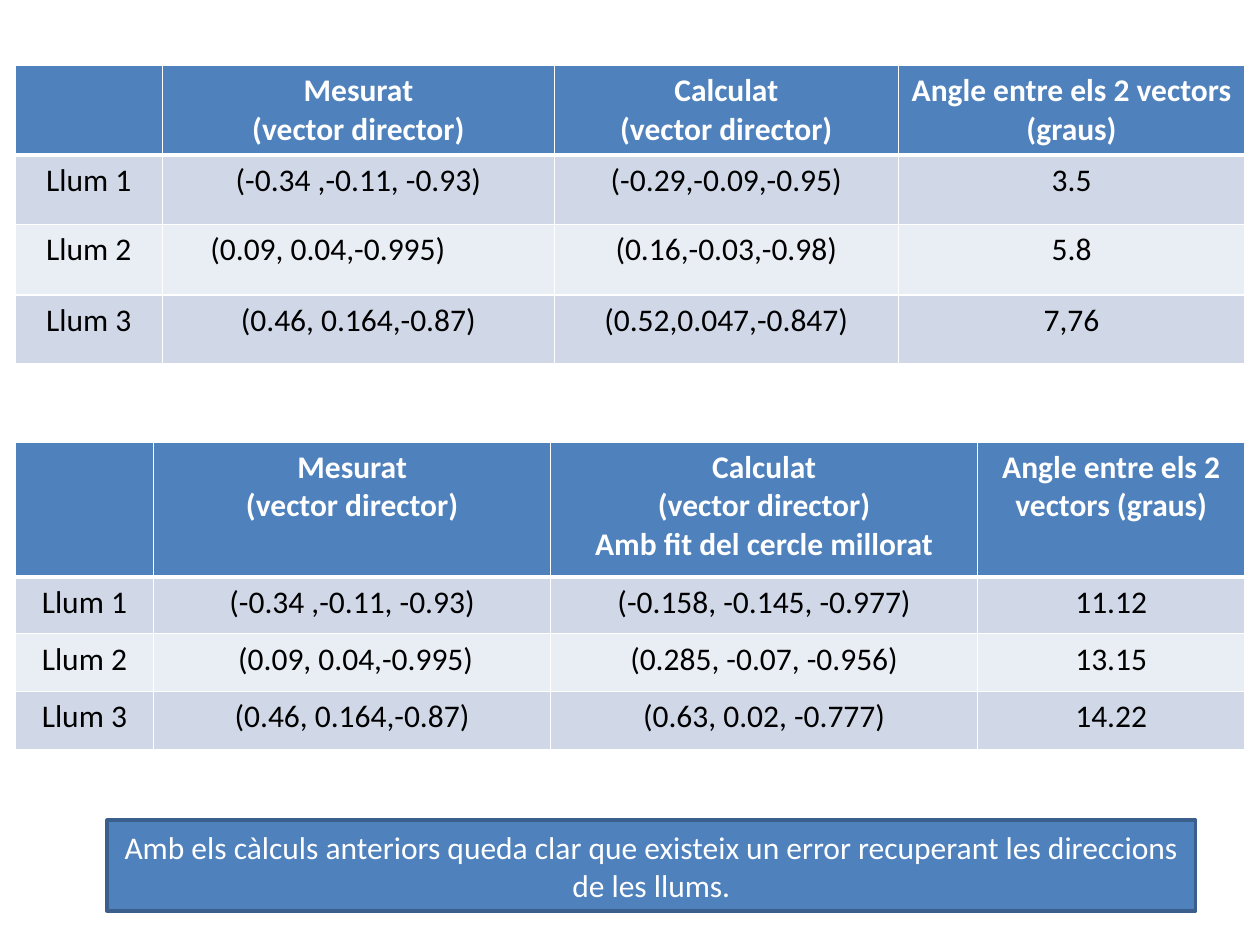
from dataclasses import dataclass

import pptx
import pptx.dml.color
import pptx.enum.shapes
import pptx.enum.text
import pptx.oxml
import pptx.oxml.ns
import pptx.util
from pptx.dml.color import RGBColor

BLUE = RGBColor(0x4F, 0x81, 0xBD)
DARK_BLUE = RGBColor(0x3A, 0x5F, 0x8C)
BAND_DARK = RGBColor(0xD0, 0xD8, 0xE8)
BAND_LIGHT = RGBColor(0xE9, 0xED, 0xF4)
WHITE = RGBColor(0xFF, 0xFF, 0xFF)
BLACK = RGBColor(0x00, 0x00, 0x00)

FONT = "Calibri"
WIDTH, HEIGHT = pptx.util.Inches(10), pptx.util.Inches(7.5)
TABLE_LEFT = pptx.util.Inches(0.12)
CENTER = pptx.enum.text.PP_ALIGN.CENTER
LEFT = pptx.enum.text.PP_ALIGN.LEFT

MEASURED = "Mesurat\n(vector director)"
CALCULATED = "Calculat\n(vector director)"
ANGLE = "Angle entre els 2 vectors (graus)"


@dataclass
class Comparison:
    """A table of measured and calculated light directions, in inches."""
    top: float
    columns: list[float]
    rows: list[float]
    calculated_heading: str
    lights: list[tuple[str, str, str]]


COMPARISONS = [
    Comparison(0.52, [1.17, 3.11, 2.73, 2.75], [0.7, 0.55, 0.56, 0.55], CALCULATED, [
        ("(-0.34 ,-0.11, -0.93)", "(-0.29,-0.09,-0.95)", "3.5"),
        ("(0.09, 0.04,-0.995)", "(0.16,-0.03,-0.98)", "5.8"),
        ("(0.46, 0.164,-0.87)", "(0.52,0.047,-0.847)", "7,76"),
    ]),
    Comparison(3.51, [1.1, 3.15, 3.39, 2.12], [1.07, 0.45, 0.46, 0.46],
               CALCULATED + "\nAmb fit del cercle millorat", [
        ("(-0.34 ,-0.11, -0.93)", "(-0.158, -0.145, -0.977)", "11.12"),
        (" (0.09, 0.04,-0.995)", "(0.285, -0.07, -0.956)", "13.15"),
        ("(0.46, 0.164,-0.87)", "(0.63, 0.02, -0.777)", "14.22"),
    ]),
]


def write(frame, text: str, color: RGBColor, bold: bool = False) -> None:
    """Write centred text, one paragraph a line."""
    for number, line in enumerate(text.split("\n")):
        para = frame.paragraphs[0] if number == 0 else frame.add_paragraph()
        para.alignment = CENTER
        if line:
            span = para.add_run()
            span.text = line
            span.font.name = FONT
            span.font.size = pptx.util.Pt(18)
            span.font.bold = bold
            span.font.color.rgb = color


def set_borders(cell, top: float, bottom: float) -> None:
    """Draw white cell borders; the sides are 1 pt wide."""
    properties = cell._tc.get_or_add_tcPr()
    widths = {"lnL": 1, "lnR": 1, "lnT": top, "lnB": bottom}
    for position, (tag, width) in enumerate(widths.items()):
        properties.insert(position, pptx.oxml.parse_xml(
            f'<a:{tag} {pptx.oxml.ns.nsdecls("a")} w="{pptx.util.Pt(width)}">'
            f'<a:solidFill><a:srgbClr val="{WHITE}"/></a:solidFill></a:{tag}>'))


def add_comparison(page, comparison: Comparison):
    """Add a table with a heading row and banded rows of lights."""
    content = [("", MEASURED, comparison.calculated_heading, ANGLE)]
    content += [(f"Llum {number}", *values)
                for number, values in enumerate(comparison.lights, 1)]
    table = page.shapes.add_table(
        len(content), len(content[0]), TABLE_LEFT, pptx.util.Inches(comparison.top),
        pptx.util.Inches(sum(comparison.columns)),
        pptx.util.Inches(sum(comparison.rows))).table
    for column, width in zip(table.columns, comparison.columns):
        column.width = pptx.util.Inches(width)
    for row, height in zip(table.rows, comparison.rows):
        row.height = pptx.util.Inches(height)

    for r, texts in enumerate(content):
        heading = r == 0
        fill = BLUE if heading else BAND_DARK if r % 2 else BAND_LIGHT
        for c, text in enumerate(texts):
            cell = table.cell(r, c)
            cell.fill.solid()
            cell.fill.fore_color.rgb = fill
            set_borders(cell, top=3 if r == 1 else 1, bottom=3 if heading else 1)
            write(cell.text_frame, text, WHITE if heading else BLACK, bold=heading)
    return table


def add_conclusion(page, text: str) -> None:
    """Add the blue box at the foot of the slide."""
    box = page.shapes.add_shape(
        pptx.enum.shapes.MSO_SHAPE.RECTANGLE, int(WIDTH * 0.085), int(HEIGHT * 0.868),
        int(WIDTH * 0.864), int(HEIGHT * 0.096))
    box.shadow.inherit = False
    box.fill.solid()
    box.fill.fore_color.rgb = BLUE
    box.line.color.rgb = DARK_BLUE
    box.line.width = pptx.util.Pt(2)
    box.text_frame.word_wrap = True
    box.text_frame.vertical_anchor = pptx.enum.text.MSO_ANCHOR.MIDDLE
    write(box.text_frame, text, WHITE)


def main() -> None:
    deck = pptx.Presentation()
    deck.slide_width, deck.slide_height = WIDTH, HEIGHT
    page = deck.slides.add_slide(deck.slide_layouts[6])

    # Tables
    first, _ = [add_comparison(page, comparison) for comparison in COMPARISONS]

    # The second measured vector of the first table is indented from the left
    indented = first.cell(2, 1)
    indented.text_frame.paragraphs[0].alignment = LEFT
    indented.margin_left = pptx.util.Inches(0.38)

    # Conclusion
    add_conclusion(page, "Amb els càlculs anteriors queda clar que existeix un error "
                         "recuperant les direccions de les llums.")
    deck.save("out.pptx")


if __name__ == "__main__":
    main()
